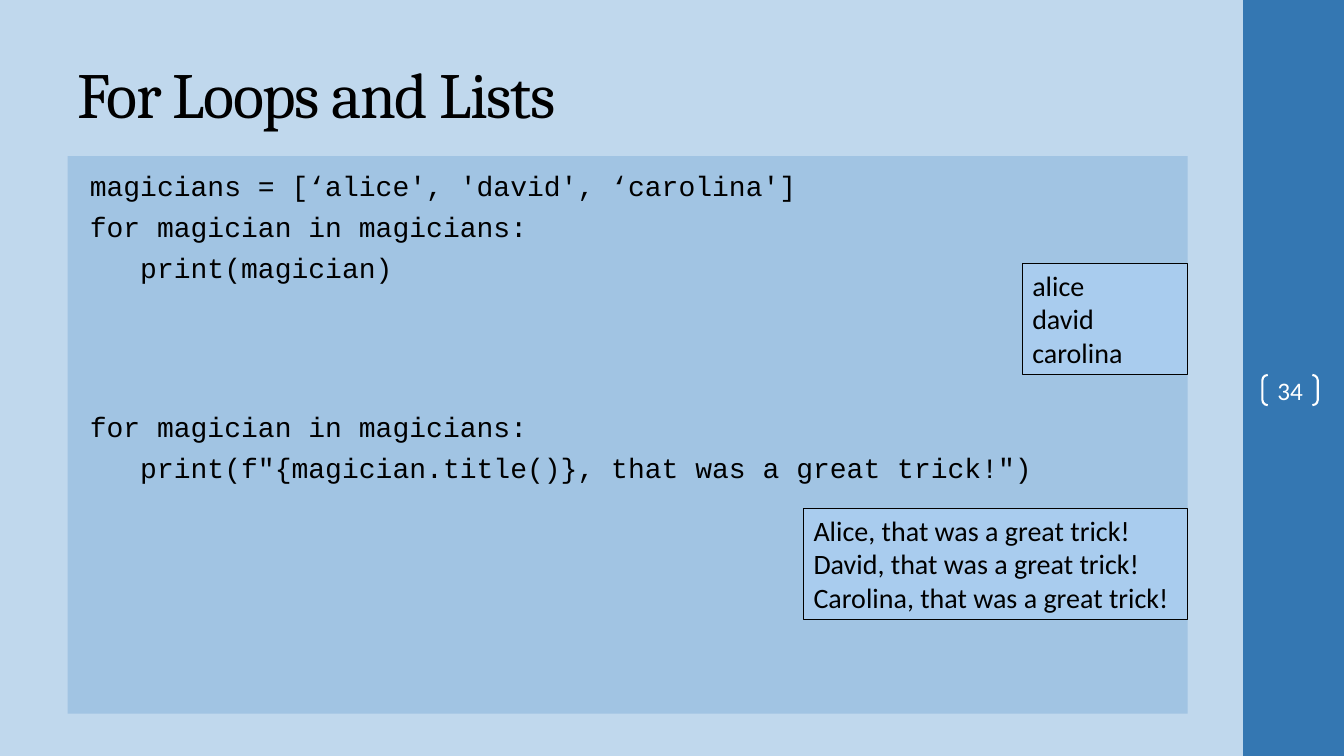
from lxml import etree
from pptx import Presentation
from pptx.dml.color import RGBColor
from pptx.enum import shapes, text
from pptx.oxml.ns import qn
from pptx.util import Inches, Pt


def paint(fill, color):
    fill.solid()
    fill.fore_color.rgb = RGBColor.from_string(color)


def write(sp, lines, font="Calibri", size=20, color="000000",
          align=text.PP_ALIGN.LEFT, anchor=text.MSO_ANCHOR.TOP, indent=None, gaps=()):
    """Fill a shape with one paragraph per line; an indent also turns bullets off."""
    tf = sp.text_frame
    tf.word_wrap = True
    tf.auto_size = text.MSO_AUTO_SIZE.NONE
    tf.vertical_anchor = anchor
    for i, line in enumerate(lines):
        p = tf.paragraphs[0] if i == 0 else tf.add_paragraph()
        p.alignment = align
        p.space_before = Pt(gaps[i] if gaps else 0)
        if indent is not None:
            pPr = p._p.get_or_add_pPr()
            pPr.set("marL", str(Inches(indent)))
            pPr.set("indent", "0")
            etree.SubElement(pPr, qn("a:buNone"))
        r = p.add_run()
        r.text = line
        r.font.name = font
        r.font.size = Pt(size)
        paint(r.font.fill, color)
    return tf


prs = Presentation()
prs.slide_width, prs.slide_height = Inches(13.33), Inches(7.5)
s = prs.slides.add_slide(prs.slide_layouts[1])
paint(s.background.fill, "C0D8ED")

# Side band with the slide number
band = s.shapes.add_shape(shapes.MSO_SHAPE.RECTANGLE,
                          Inches(12.33), 0, Inches(1), Inches(7.5))
band.shadow.inherit = False
paint(band.fill, "3477B2")
band.line.fill.background()

number = s.shapes.add_shape(shapes.MSO_SHAPE.DOUBLE_BRACKET,
                            Inches(12.52), Inches(3.72), Inches(0.55), Inches(0.3))
number.shadow.inherit = False
number.adjustments[0] = 0.179
number.fill.background()
paint(number.line.fill, "FFFFFF")
number.line.width = Pt(1.5)
tf = write(number, ["34"], size=18, color="FFFFFF",
           align=text.PP_ALIGN.CENTER, anchor=text.MSO_ANCHOR.MIDDLE)
tf.margin_left = tf.margin_right = tf.margin_top = tf.margin_bottom = 0

# Title
title = s.shapes.title
title.left, title.top = Inches(0.67), Inches(0.3)
title.width, title.height = Inches(11.11), Inches(1.25)
tf = write(title, ["For Loops and Lists"], font="Cambria", size=46,
           anchor=text.MSO_ANCHOR.MIDDLE)
tf.paragraphs[0].runs[0].font._element.set("spc", "-100")

# Code
code = s.placeholders[1]
code.left, code.top = Inches(0.67), Inches(1.55)
code.width, code.height = Inches(11.11), Inches(5.53)
paint(code.fill, "A1C4E3")
tf = write(code, ["magicians = [‘alice', 'david', ‘carolina']",
                  "for magician in magicians:",
                  "   print(magician)",
                  "for magician in magicians:",
                  "   print(f\"{magician.title()}, that was a great trick!\")"],
           font="Courier New", indent=0.12, gaps=[0, 5.3, 5.3, 89.3, 5.3])
tf.margin_top = Inches(0.12)

# Output boxes, right-aligned with the code panel
names = ["alice", "david", "carolina"]
praise = [f"{name.title()}, that was a great trick!" for name in names]
for lines, top, width in [(names, 2.61, 1.64), (praise, 5.04, 3.81)]:
    output = s.shapes.add_textbox(Inches(11.78 - width), Inches(top),
                                  Inches(width), Inches(1.11))
    paint(output.fill, "A9CCEE")
    paint(output.line.fill, "000000")
    output.line.width = Pt(0.75)
    write(output, lines)

prs.save("out.pptx")
